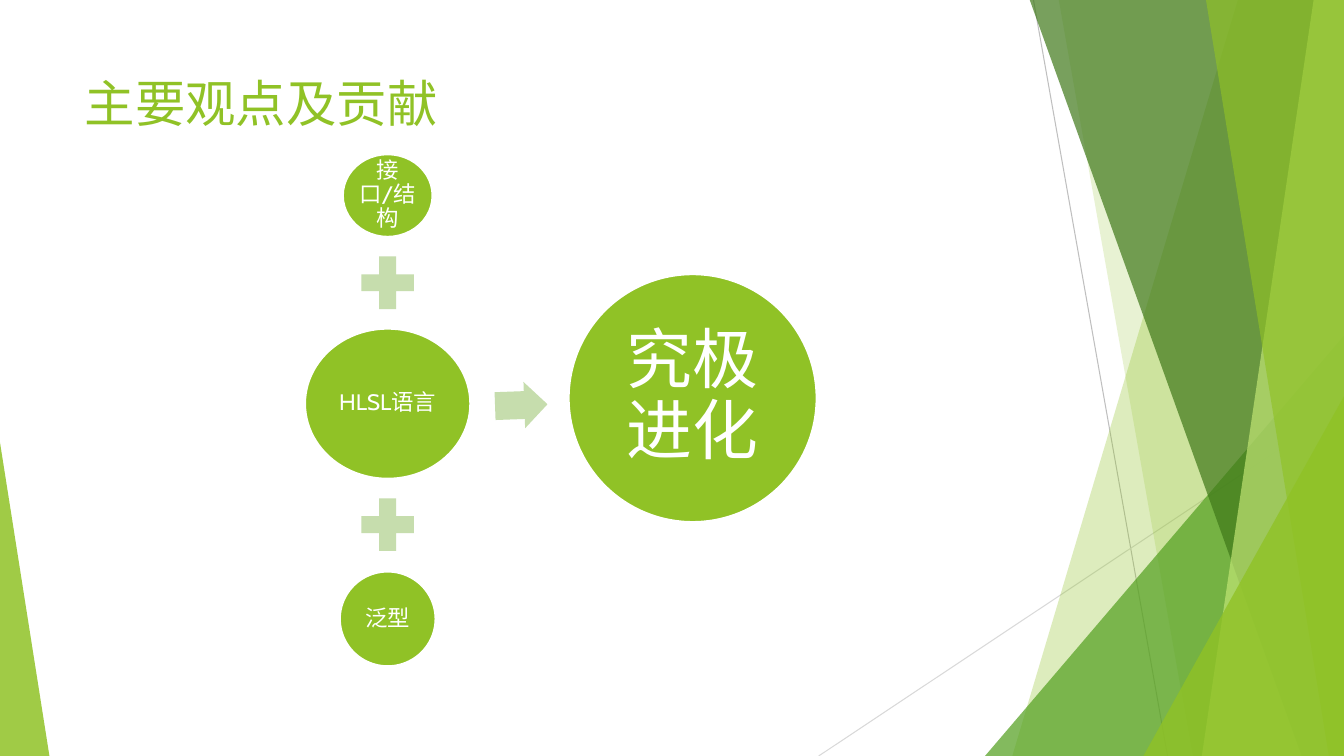
from lxml.etree import SubElement
from pptx import Presentation
from pptx.dml.color import RGBColor
from pptx.enum.shapes import MSO_CONNECTOR, MSO_SHAPE
from pptx.enum.text import MSO_ANCHOR, PP_ALIGN
from pptx.oxml.ns import qn
from pptx.util import Inches, Pt

COLORS = {
    "green": "90C226", "leaf": "54A021", "dark": "3F7819", "lime": "C0E474",
    "pale": "C6DDAD", "white": "FFFFFF", "gray": "BFBFBF", "light": "D9D9D9",
}
FONT = "Cabin"
WIDE, HIGH = 13.33, 7.5
TOP = -0.01
MID = 3.845


def color(name):
    """Return the named colour."""
    return RGBColor.from_string(COLORS[name])


def paint(shape, name, alpha=100):
    """Fill a shape without outline or shadow, at an opacity in percent."""
    shape.shadow.inherit = False
    shape.fill.solid()
    shape.fill.fore_color.rgb = color(name)
    shape.line.fill.background()
    if alpha < 100:
        tone = shape.fill._xPr.find(qn("a:solidFill")).find(qn("a:srgbClr"))
        SubElement(tone, qn("a:alpha")).set("val", str(alpha * 1000))


def add_line(slide, start, end, name):
    """Draw a thin line between two points."""
    points = [Inches(v) for v in (*start, *end)]
    line = slide.shapes.add_connector(MSO_CONNECTOR.STRAIGHT, *points)
    line.line.color.rgb = color(name)
    line.line.width = Pt(0.75)
    SubElement(line._element.spPr, qn("a:effectLst"))


def add_band(slide, top, foot, name, alpha):
    """Draw a band from a slanted left edge to the right slide edge."""
    form = slide.shapes.build_freeform(Inches(top), Inches(TOP))
    corners = [(WIDE, TOP), (WIDE, HIGH), (foot, HIGH)]
    form.add_line_segments([(Inches(x), Inches(y)) for x, y in corners])
    paint(form.convert_to_shape(), name, alpha)


def add_shape(slide, kind, box, name, alpha=100, adjust=()):
    """Add a filled preset shape in a box of inches."""
    shape = slide.shapes.add_shape(kind, *[Inches(v) for v in box])
    paint(shape, name, alpha)
    for i, value in enumerate(adjust):
        shape.adjustments[i] = value
    return shape


def add_wedge(slide, left, top, width, tip, name, alpha):
    """Draw a triangle that stands on the bottom slide edge."""
    box = (left, top, width, HIGH - top)
    add_shape(slide, MSO_SHAPE.ISOSCELES_TRIANGLE, box, name, alpha, [tip])


def style(frame, size, name):
    """Set the font of every run."""
    for para in frame.paragraphs:
        for run in para.runs:
            run.font.name = FONT
            run.font.size = Pt(size)
            run.font.color.rgb = color(name)


def add_disc(slide, text, box, size, inset):
    """Add a green disc with centred white text."""
    disc = add_shape(slide, MSO_SHAPE.OVAL, box, "green")
    disc.line.color.rgb = color("white")
    disc.line.width = Pt(1.5)
    frame = disc.text_frame
    frame.word_wrap = True
    frame.vertical_anchor = MSO_ANCHOR.MIDDLE
    frame.margin_left = frame.margin_right = Inches(inset)
    frame.margin_top = frame.margin_bottom = Inches(inset)
    frame.text = text
    frame.paragraphs[0].alignment = PP_ALIGN.CENTER
    frame.paragraphs[0].line_spacing = 0.9
    style(frame, size, "white")


def add_title(slide, text):
    """Place and fill the title."""
    title = slide.shapes.title
    title.left, title.top = Inches(0.74), Inches(0.67)
    title.width, title.height = Inches(9.4), Inches(0.86)
    frame = title.text_frame
    frame.text = text
    frame.vertical_anchor = MSO_ANCHOR.TOP
    frame.paragraphs[0].alignment = PP_ALIGN.LEFT
    style(frame, 36, "green")


def add_decor(slide):
    """Draw the facets along the slide edges."""
    add_line(slide, (10.25, 0), (11.58, HIGH), "gray")
    add_line(slide, (WIDE, 4.03), (8.12, HIGH), "light")
    add_band(slide, 12.28, 10.04, "green", 30)
    add_band(slide, 10.5, 11.83, "green", 20)
    add_wedge(slide, 9.77, 3.33, 3.56, 1, "leaf", 72)
    add_band(slide, 10.21, 12.91, "dark", 70)
    add_band(slide, 13.03, 11.92, "lime", 70)
    add_band(slide, 11.96, 13.18, "green", 65)
    add_wedge(slide, 11.34, 3.93, 1.99, 1, "green", 80)
    add_wedge(slide, 0, 4.39, 0.49, 0, "green", 85)


def add_sum(slide):
    """Draw the three parts, the signs and the result."""
    parts = [("接口/结构", 1.53, 0.89, 0.82), ("HLSL语言", 3.26, 1.64, 1.49),
             ("泛型", 5.67, 0.95, 0.94)]
    for text, top, width, height in parts:
        box = (MID - width / 2, top, width, height)
        add_disc(slide, text, box, 16, 0.02)
    for top in (2.45, 4.85):
        box = (MID - 0.355, top, 0.71, 0.71)
        add_shape(slide, MSO_SHAPE.MATH_PLUS, box, "pale")
    arrow = add_shape(slide, MSO_SHAPE.RIGHT_ARROW, (4.91, 3.79, 0.52, 0.46),
                      "pale", adjust=[0.6, 0.5])
    arrow.rotation = 357.9
    add_disc(slide, "究极进化", (5.64, 2.72, 2.46, 2.46), 47, 0.07)


def main():
    """Build and save the slide."""
    deck = Presentation()
    deck.slide_width, deck.slide_height = Inches(WIDE), Inches(HIGH)
    slide = deck.slides.add_slide(deck.slide_layouts[5])
    add_decor(slide)
    add_title(slide, "主要观点及贡献")
    add_sum(slide)
    deck.save("out.pptx")


if __name__ == "__main__":
    main()
